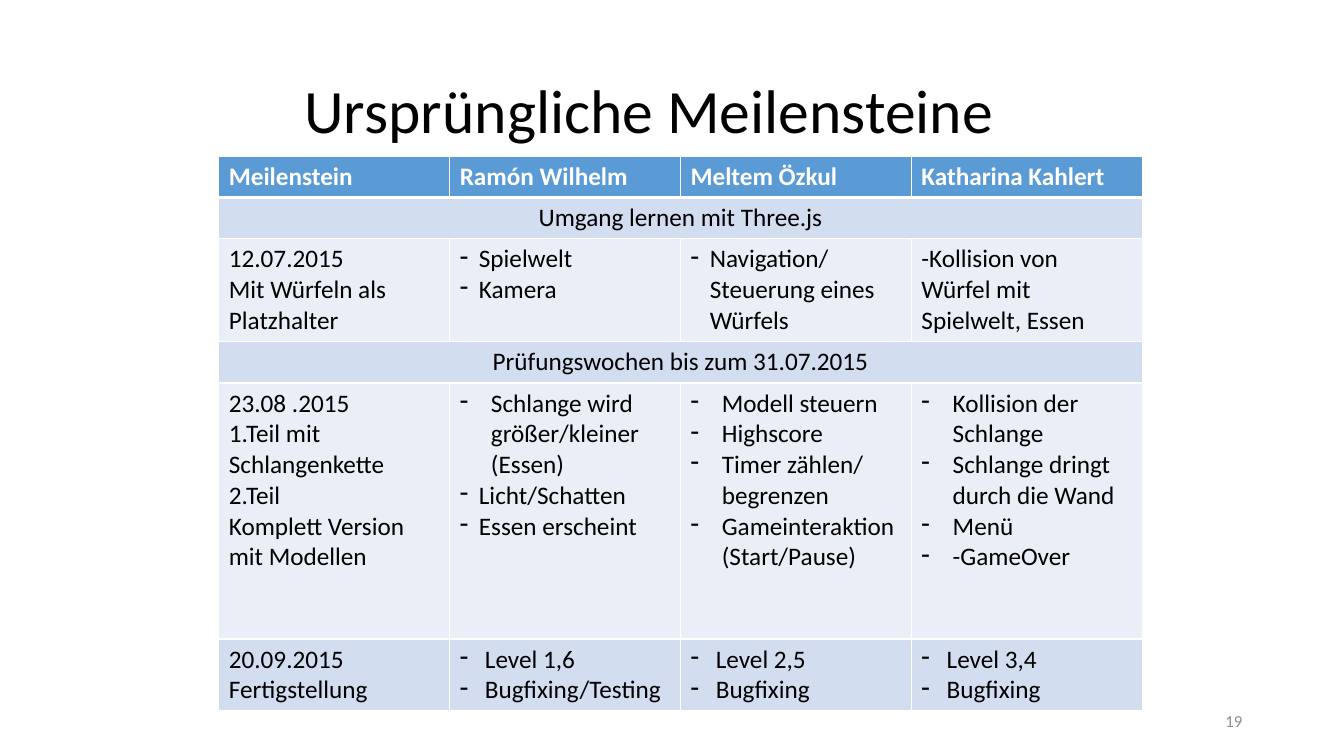
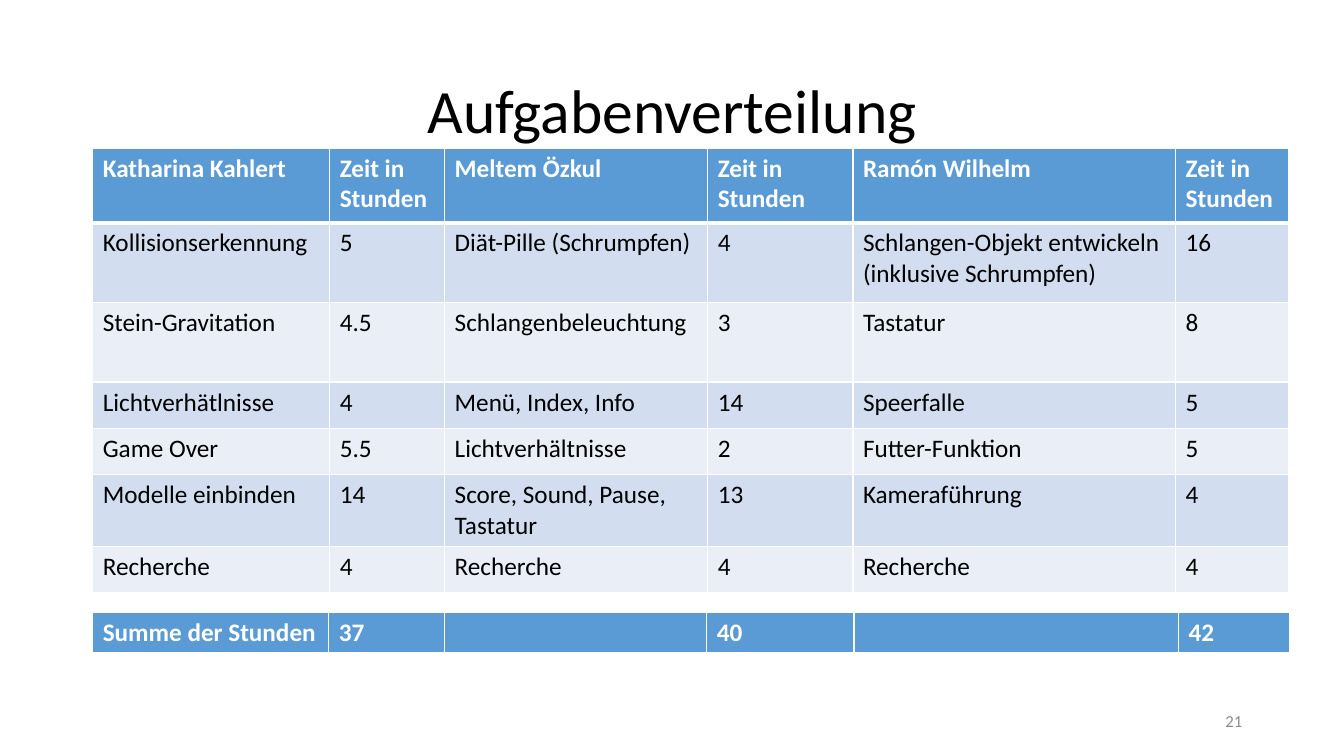
from lxml import etree
from pptx import Presentation
from pptx.dml.color import RGBColor
from pptx.enum.text import MSO_ANCHOR, MSO_AUTO_SIZE, PP_ALIGN
from pptx.oxml.ns import qn
from pptx.util import Inches, Pt

LEFT, CENTER, RIGHT = PP_ALIGN.LEFT, PP_ALIGN.CENTER, PP_ALIGN.RIGHT
MIDDLE = MSO_ANCHOR.MIDDLE
NO_FIT = MSO_AUTO_SIZE.NONE

FONT = "Calibri"
BLACK = RGBColor(0x00, 0x00, 0x00)
WHITE = RGBColor(0xFF, 0xFF, 0xFF)
GRAY = RGBColor(0x8C, 0x8C, 0x8C)
HEAD = RGBColor(0x5B, 0x9B, 0xD5)
BANDS = RGBColor(0xEA, 0xEF, 0xF7), RGBColor(0xD2, 0xDE, 0xEF)

# Hanging indents of dash lists, in inches
NARROW, MEDIUM, WIDE = 0.19, 0.25, 0.31


def dashes(indent, *items):
    return [(indent, item) for item in items]


# Content: a cell is a string or a list of paragraphs; a row of one cell spans the table
MILESTONES = [
    ["Meilenstein", "Ramón Wilhelm", "Meltem Özkul", "Katharina Kahlert"],
    ["Umgang lernen mit Three.js"],
    [
        ["12.07.2015", "Mit Würfeln als Platzhalter"],
        dashes(NARROW, "Spielwelt", "Kamera"),
        dashes(NARROW, "Navigation/\nSteuerung eines\nWürfels"),
        "-Kollision von Würfel mit Spielwelt, Essen",
    ],
    ["Prüfungswochen bis zum 31.07.2015"],
    [
        ["23.08 .2015", "1.Teil mit Schlangenkette", "2.Teil",
         "Komplett Version mit Modellen"],
        dashes(WIDE, "Schlange wird größer/kleiner (Essen)")
        + dashes(NARROW, "Licht/Schatten", "Essen erscheint"),
        dashes(WIDE, "Modell steuern", "Highscore", "Timer zählen/\nbegrenzen",
               "Gameinteraktion (Start/Pause)"),
        dashes(WIDE, "Kollision der Schlange", "Schlange dringt durch die Wand",
               "Menü", "-GameOver"),
    ],
    [
        ["20.09.2015", "Fertigstellung"],
        dashes(MEDIUM, "Level 1,6", "Bugfixing/Testing"),
        dashes(MEDIUM, "Level 2,5", "Bugfixing"),
        dashes(MEDIUM, "Level 3,4", "Bugfixing"),
    ],
]
MILESTONE_COLS = [2.29] * 4
MILESTONE_ROWS = [0.41, 0.41, 1.02, 0.41, 2.54, 0.71]

HOURS = "Zeit in Stunden"
TASKS = [
    ["Katharina Kahlert", HOURS, "Meltem Özkul", HOURS, "Ramón Wilhelm", HOURS],
    ["Kollisionserkennung", "5", "Diät-Pille (Schrumpfen)", "4",
     ["Schlangen-Objekt entwickeln", "(inklusive Schrumpfen)"], "16"],
    ["Stein-Gravitation", "4.5", "Schlangenbeleuchtung", "3", "Tastatur", "8"],
    ["Lichtverhätlnisse", "4", "Menü, Index, Info", "14", "Speerfalle", "5"],
    ["Game Over", "5.5", "Lichtverhältnisse", "2", "Futter-Funktion", "5"],
    ["Modelle einbinden", "14", "Score, Sound, Pause, Tastatur", "13",
     "Kameraführung", "4"],
    ["Recherche", "4", "Recherche", "4", "Recherche", "4"],
]
TASK_COLS = [2.35, 1.14, 2.61, 1.44, 3.2, 1.12]
TASK_ROWS = [0.74, 0.79, 0.79, 0.46, 0.46, 0.71, 0.46]

TOTALS = [["Summe der Stunden", "37", "", "40", "", "42"]]
TOTAL_COLS = [2.34, 1.15, 2.6, 1.46, 3.22, 1.1]
TOTAL_ROWS = [0.41]


def add_text(p, text, size, color, bold=False):
    for i, line in enumerate(text.split("\n")):
        if i:
            p.add_line_break()
        r = p.add_run()
        r.text = line
        r.font.name, r.font.size, r.font.bold = FONT, Pt(size), bold
        r.font.color.rgb = color


def set_dash(p, indent):
    pPr = p._p.get_or_add_pPr()
    pPr.set("marL", str(Inches(indent)))
    pPr.set("indent", str(-Inches(indent)))
    etree.SubElement(pPr, qn("a:buChar")).set("char", "-")


def set_borders(cell, bottom):
    tcPr = cell._tc.get_or_add_tcPr()
    for side, width in (("L", 1), ("R", 1), ("T", 1), ("B", bottom)):
        ln = etree.SubElement(tcPr, qn(f"a:ln{side}"), w=str(Pt(width)))
        fill = etree.SubElement(ln, qn("a:solidFill"))
        etree.SubElement(fill, qn("a:srgbClr"), val=str(WHITE))


def fill_cell(cell, content, color, bold, align):
    paragraphs = [content] if isinstance(content, str) else content
    tf = cell.text_frame
    for i, item in enumerate(paragraphs):
        p = tf.add_paragraph() if i else tf.paragraphs[0]
        p.alignment = align
        if isinstance(item, tuple):
            indent, item = item
            set_dash(p, indent)
        if item:
            add_text(p, item, 18, color, bold)


def add_table(slide, left, top, cols, heights, rows):
    table = slide.shapes.add_table(
        len(rows), len(cols), Inches(left), Inches(top),
        Inches(sum(cols)), Inches(sum(heights))).table
    for column, width in zip(table.columns, cols):
        column.width = Inches(width)
    for i, (row, height) in enumerate(zip(rows, heights)):
        table.rows[i].height = Inches(height)
        header = i == 0
        spanning = len(row) == 1
        for cell in table.rows[i].cells:
            set_borders(cell, 3 if header else 1)
            cell.fill.solid()
            cell.fill.fore_color.rgb = HEAD if header else BANDS[i % 2]
        if spanning:
            table.cell(i, 0).merge(table.cell(i, len(cols) - 1))
        for j, content in enumerate(row):
            fill_cell(table.cell(i, j), content, WHITE if header else BLACK,
                      header, CENTER if spanning else LEFT)


def add_slide(prs, title, number, align=CENTER, indent=0.1):
    slide = prs.slides.add_slide(prs.slide_layouts[5])

    # Title
    sp = slide.shapes.title
    sp.left, sp.top = Inches(0.92), Inches(0.4)
    sp.width, sp.height = Inches(11.5), Inches(1.45)
    tf = sp.text_frame
    tf.auto_size, tf.word_wrap, tf.vertical_anchor = NO_FIT, True, MIDDLE
    tf.margin_left = Inches(indent)
    p = tf.paragraphs[0]
    p.alignment, p.line_spacing = align, 0.9
    add_text(p, title, 44, BLACK)

    # Page number
    sp = slide.shapes.add_textbox(Inches(9.42), Inches(6.95), Inches(3), Inches(0.4))
    tf = sp.text_frame
    tf.word_wrap, tf.vertical_anchor = True, MIDDLE
    p = tf.paragraphs[0]
    p.alignment = RIGHT
    add_text(p, str(number), 12, GRAY)
    return slide


def main():
    prs = Presentation()
    prs.slide_width, prs.slide_height = Inches(13.33), Inches(7.5)

    # Milestones
    slide = add_slide(prs, "Ursprüngliche Meilensteine", 19, LEFT, 2.1)
    add_table(slide, 2.17, 1.55, MILESTONE_COLS, MILESTONE_ROWS, MILESTONES)

    # Tasks and hours
    slide = add_slide(prs, "Aufgabenverteilung", 21)
    add_table(slide, 0.92, 1.47, TASK_COLS, TASK_ROWS, TASKS)
    add_table(slide, 0.92, 6.08, TOTAL_COLS, TOTAL_ROWS, TOTALS)

    prs.save("out.pptx")


if __name__ == "__main__":
    main()
